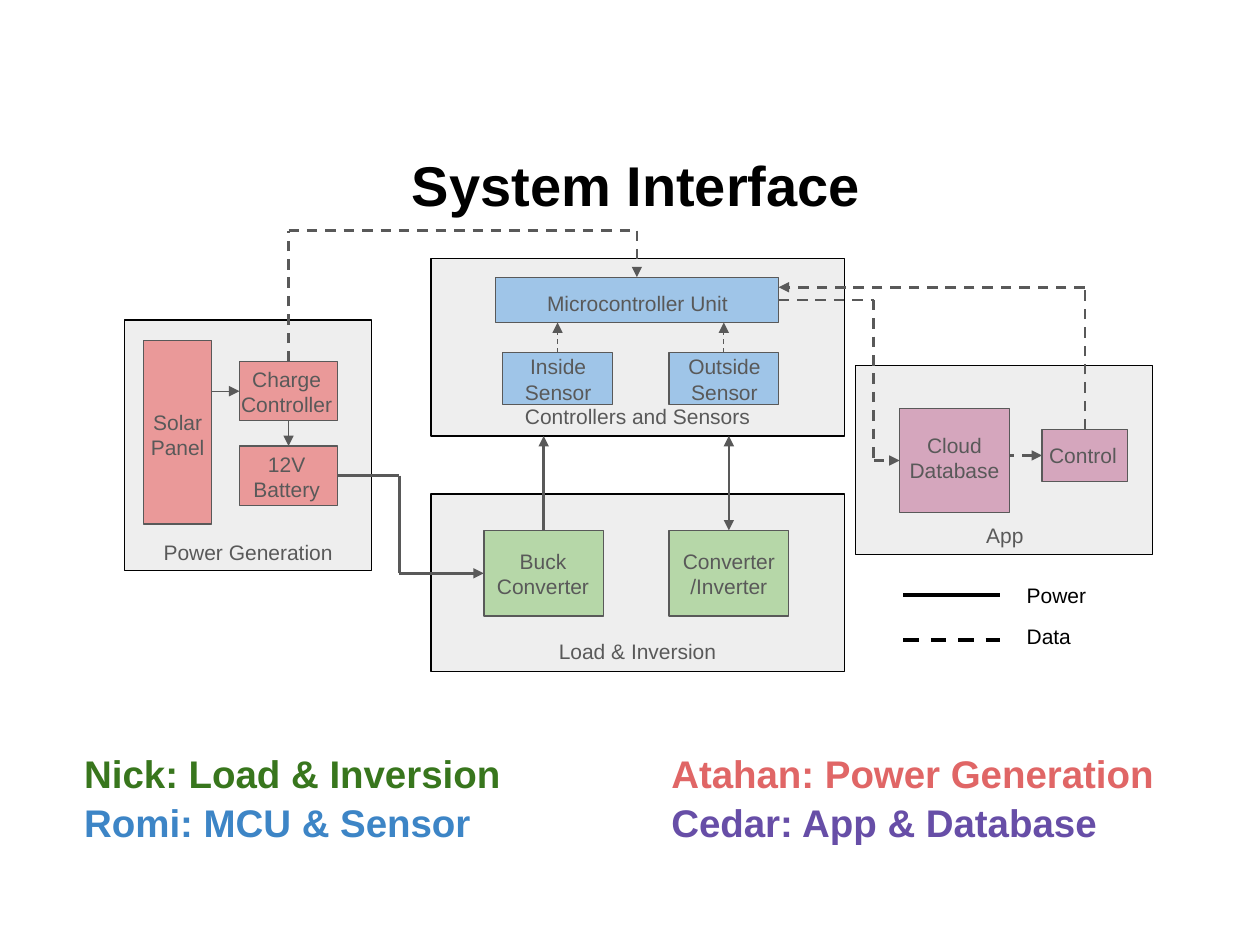
from collections import namedtuple
from dataclasses import dataclass

from lxml.etree import SubElement
from pptx import Presentation
from pptx.dml.color import RGBColor
from pptx.enum.dml import MSO_LINE
from pptx.enum.shapes import MSO_CONNECTOR, MSO_SHAPE
from pptx.enum.text import MSO_ANCHOR, PP_ALIGN
from pptx.oxml.ns import qn
from pptx.util import Inches, Pt

Pin = namedtuple("Pin", "shape side")
TOP, LEFT, BOTTOM, RIGHT = range(4)


@dataclass(frozen=True)
class Theme:
    """Colours, type sizes and line weights."""
    font: str = "Arial"
    black: str = "000000"
    gray: str = "595959"
    panel: str = "EEEEEE"
    red: str = "EA9999"
    blue: str = "9FC5E8"
    green: str = "B6D7A8"
    pink: str = "D5A6BD"
    nick: str = "38761D"
    atahan: str = "E06666"
    romi: str = "3D85C6"
    cedar: str = "674EA7"
    title: float = 32
    names: float = 22
    body: float = 12
    thin: float = 0.75
    bold: float = 1.5
    key: float = 2.25


class Board:
    """Draws on one slide with a grid of 100 columns by 75 rows."""

    def __init__(self, deck, theme):
        """Add a blank slide and measure the grid."""
        self.theme = theme
        self.slide = deck.slides.add_slide(deck.slide_layouts[6])
        self.col = deck.slide_width / 100
        self.row = deck.slide_height / 75

    def place(self, at):
        """Turn grid numbers, x and y in turn, into slide lengths."""
        return [round(n * (self.row if i % 2 else self.col))
                for i, n in enumerate(at)]

    def box(self, at, fill, edge):
        """Add a filled rectangle with a thin edge."""
        shape = self.slide.shapes.add_shape(MSO_SHAPE.RECTANGLE, *self.place(at))
        shape.shadow.inherit = False
        shape.fill.solid()
        shape.fill.fore_color.rgb = RGBColor.from_string(fill)
        shape.line.color.rgb = RGBColor.from_string(edge)
        shape.line.width = Pt(self.theme.thin)
        return shape

    def text(self, at, lines, size, bold=False, align=PP_ALIGN.CENTER,
             anchor=MSO_ANCHOR.TOP, gap=0, tab=None):
        """Add a text box; each line is a list of (words, colour) runs."""
        frame = self.slide.shapes.add_textbox(*self.place(at)).text_frame
        frame.word_wrap = True
        frame.vertical_anchor = anchor
        frame.margin_top = frame.margin_bottom = Inches(0.1)
        for i, line in enumerate(lines):
            para = frame.add_paragraph() if i else frame.paragraphs[0]
            para.alignment = align
            if i and gap:
                para.space_before = Pt(gap)
            if tab:
                stops = SubElement(para._p.get_or_add_pPr(), qn("a:tabLst"))
                SubElement(stops, qn("a:tab"), pos=str(round(tab * self.col)),
                           algn="l")
            for words, color in line:
                run = para.add_run()
                run.text = words
                run.font.name = self.theme.font
                run.font.size = Pt(size)
                run.font.bold = bold
                run.font.color.rgb = RGBColor.from_string(color)

    def label(self, at, words):
        """Add a centred gray label."""
        self.text(at, [[(words, self.theme.gray)]], self.theme.body)

    def node(self, at, fill, spot, words):
        """Add a coloured block with its label."""
        shape = self.box(at, fill, self.theme.gray)
        self.label(spot, words)
        return shape

    def wire(self, start, end, dash=False, weight=None, color=None, tips=""):
        """Add a line between points or pins, with arrow tips if named."""
        ends = [(0, 0) if isinstance(e, Pin) else e for e in (start, end)]
        line = self.slide.shapes.add_connector(
            MSO_CONNECTOR.STRAIGHT, *self.place(ends[0] + ends[1]))
        if isinstance(start, Pin):
            line.begin_connect(*start)
        if isinstance(end, Pin):
            line.end_connect(*end)
        line.line.color.rgb = RGBColor.from_string(color or self.theme.gray)
        line.line.width = Pt(weight or self.theme.bold)
        if dash:
            line.line.dash_style = MSO_LINE.DASH
        for tip in tips.split():
            SubElement(line.line._get_or_add_ln(), qn(f"a:{tip}"), type="triangle")
        SubElement(line._element.spPr, qn("a:effectLst"))

    def route(self, *stops, dash=False, tips="tailEnd"):
        """Chain wires through the stops, with tips on the last one."""
        last = len(stops) - 2
        for i, (start, end) in enumerate(zip(stops, stops[1:])):
            self.wire(start, end, dash, tips=tips if i == last else "")


def main():
    """Build the system interface slide."""
    deck = Presentation()
    deck.slide_width, deck.slide_height = Inches(10), Inches(7.5)
    t = Theme()
    b = Board(deck, t)

    b.text((5.5, 10, 90, 9.3), [[("System Interface", t.black)]], t.title,
           bold=True, anchor=MSO_ANCHOR.MIDDLE)
    b.text((5.7, 58.5, 88.6, 13.9), [
        [("Nick: Load & Inversion\t", t.nick),
         ("Atahan: Power Generation", t.atahan)],
        [("Romi: MCU & Sensor\t", t.romi), ("Cedar: App & Database", t.cedar)],
    ], t.names, bold=True, align=PP_ALIGN.LEFT, gap=1.5, tab=46.6)

    panels = (
        ((9.9, 25.4, 19.6, 19.9), (9.9, 42.2, 19.6, 1.6), "Power Generation"),
        ((67.9, 29, 23.6, 15), (74.2, 40.9, 11.1, 1.6), "App"),
        ((34.2, 39.2, 32.8, 14.1), (34.2, 50.1, 32.8, 1.6), "Load & Inversion"),
        ((34.2, 20.5, 32.8, 14.1), (34.2, 31.4, 32.8, 1.6),
         "Controllers and Sensors"),
    )
    for at, _, _ in panels:
        b.box(at, t.panel, t.black)
    for _, spot, words in panels:
        b.label(spot, words)

    b.node((11.4, 27, 5.4, 14.6), t.red, (10.7, 31.5, 6.8, 5.9), "Solar Panel")
    charge = b.node((19, 28.7, 7.8, 4.7), t.red, (17.2, 28.1, 11.1, 5.9),
                    "Charge Controller")
    cell = b.node((19, 35.4, 7.8, 4.7), t.red, (18, 34.8, 9.5, 5.9),
                  "12V Battery")
    control = b.node((82.7, 34.1, 6.8, 4.1), t.pink, (81.2, 34.1, 9.5, 4.5),
                     "Control")
    mcu = b.node((39.3, 22, 22.5, 3.6), t.blue, (40.3, 22.1, 20.6, 2.4),
                 "Microcontroller Unit")
    inside = b.node((39.9, 28, 8.7, 4.1), t.blue, (38.7, 27.1, 11.2, 5.7),
                    "Inside Sensor")
    outside = b.node((53.1, 28, 8.7, 4.1), t.blue, (52.8, 27.1, 9.4, 5.7),
                     "Outside Sensor")
    buck = b.node((38.4, 42.1, 9.5, 6.8), t.green, (38, 42.5, 10.2, 5.9),
                  "Buck Converter")
    invert = b.node((53.1, 42.1, 9.5, 6.8), t.green, (53.1, 42.5, 9.5, 5.9),
                    "Converter/Inverter")
    b.wire((78.2, 36.15), Pin(control, LEFT), dash=True, tips="tailEnd")
    cloud = b.node((71.4, 32.4, 8.7, 8.3), t.pink, (70.2, 33.3, 11.1, 5.9),
                   "Cloud Database")

    b.wire((16.8, 31.05), Pin(charge, LEFT), weight=t.thin, tips="tailEnd")
    b.wire(Pin(charge, BOTTOM), Pin(cell, TOP), weight=t.thin, tips="tailEnd")
    for sensor, x in ((inside, 44.25), (outside, 57.45)):
        b.wire(Pin(sensor, TOP), (x, 25.6), dash=True, weight=t.thin,
               tips="tailEnd")
    b.route(Pin(charge, TOP), (22.9, 18.3), (50.55, 18.3), Pin(mcu, TOP),
            dash=True)
    b.route(Pin(mcu, RIGHT), (69.35, 23.8), (69.35, 36.55), Pin(cloud, LEFT),
            dash=True)
    b.route(Pin(control, TOP), (86.1, 22.8), (61.8, 22.8), dash=True)
    b.route(Pin(cell, RIGHT), (31.7, 37.75), (31.7, 45.5), Pin(buck, LEFT))
    b.wire(Pin(buck, TOP), (43.15, 34.6), tips="tailEnd")
    b.wire((57.85, 34.6), Pin(invert, TOP), tips="headEnd tailEnd")

    for y, dash in ((47.2, False), (50.8, True)):
        b.wire((71.7, y), (79.4, y), dash, t.key, t.black)
    b.text((80.5, 45.2, 9, 7.4), [[("Power", t.black)], [("Data", t.black)]],
           t.body, align=PP_ALIGN.LEFT, gap=9.5)
    deck.save("out.pptx")


if __name__ == "__main__":
    main()
